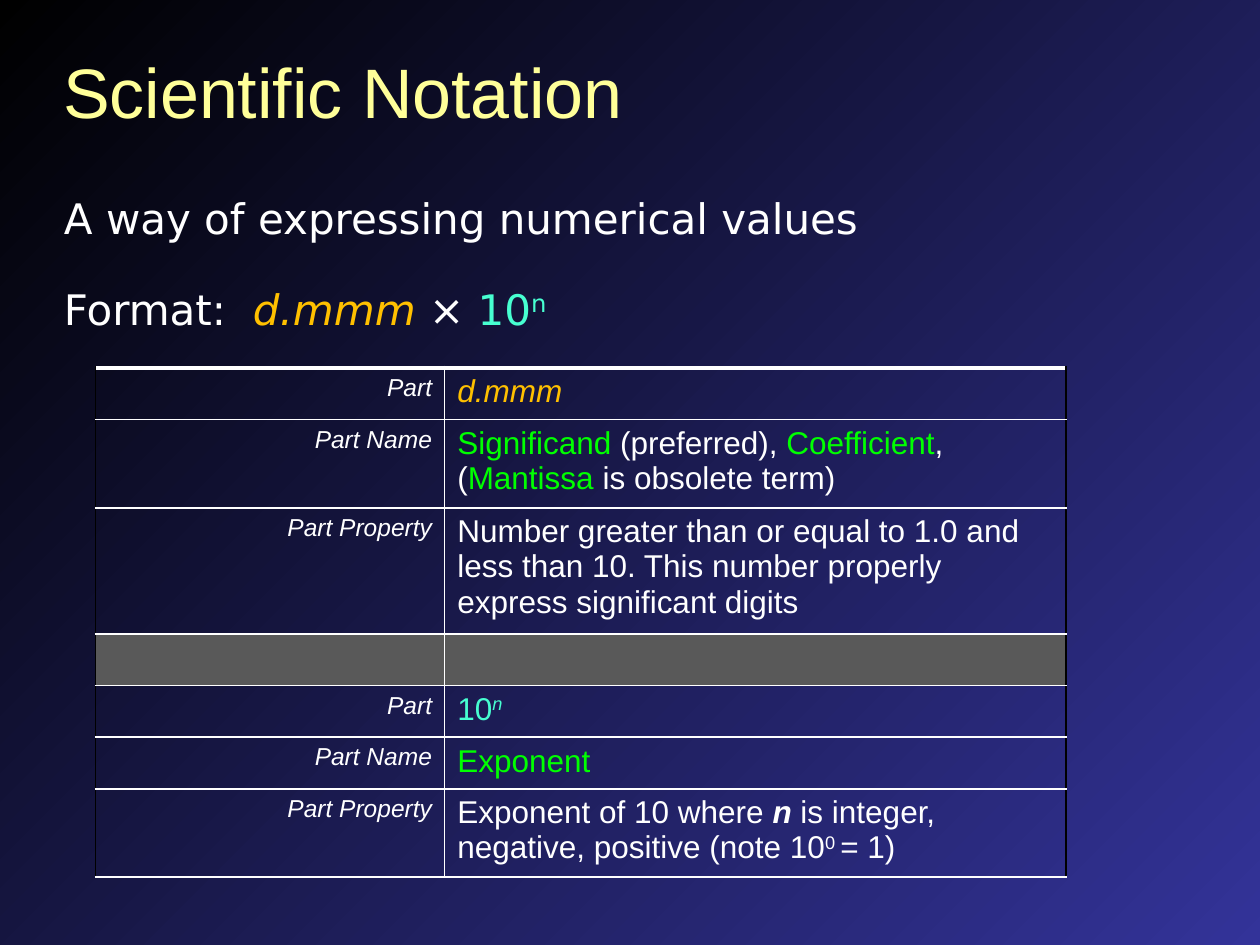
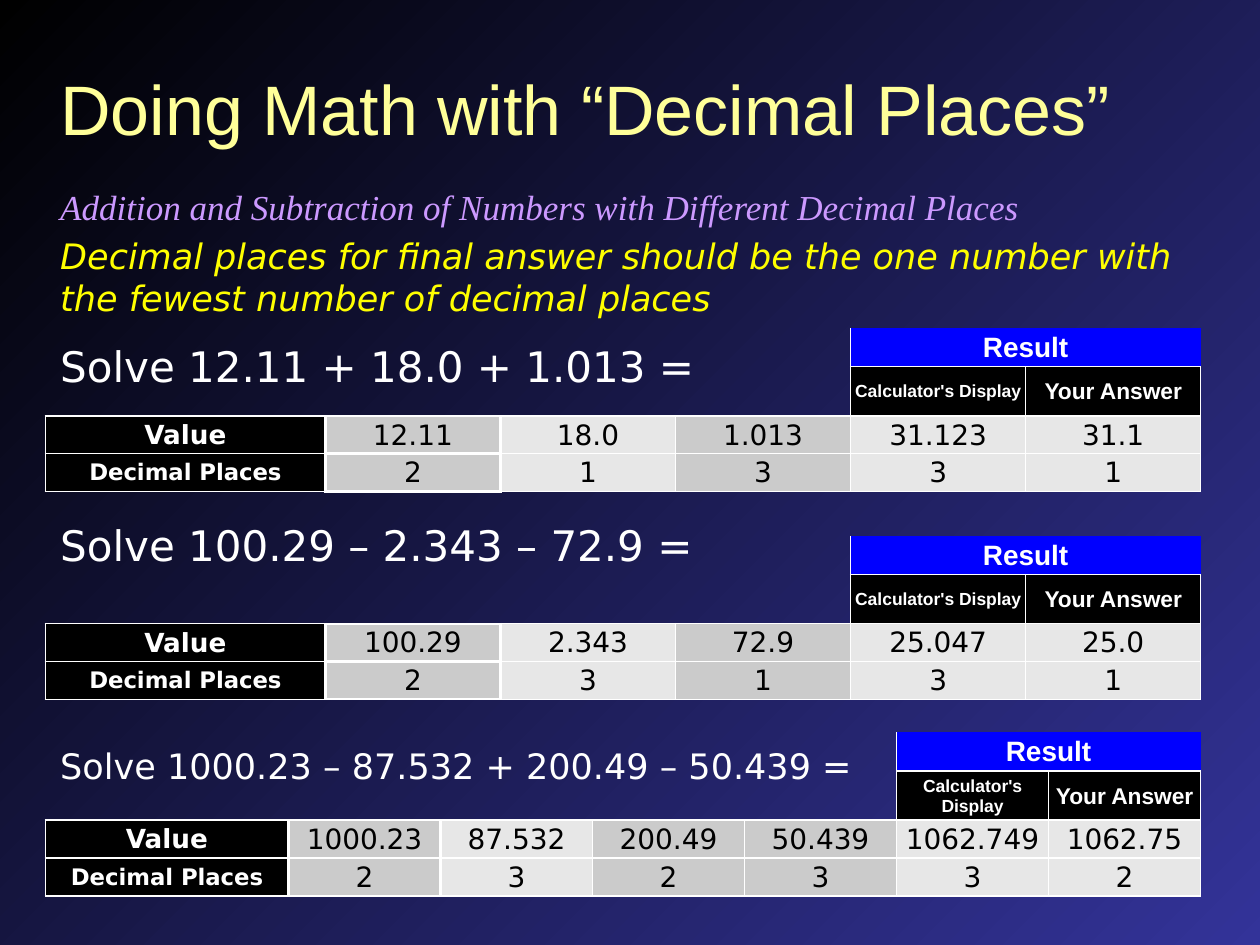
from lxml.etree import SubElement as Sub
from pptx import Presentation
from pptx.dml.color import RGBColor
from pptx.enum.text import MSO_ANCHOR as Anchor, MSO_AUTO_SIZE as AutoSize, PP_ALIGN as Align
from pptx.oxml.ns import qn
from pptx.util import Inches, Pt

WHITE, BLACK, GREY = "FFFFFF", "000000", "595959"
NAVY, BLUE, TITLE = "333399", "0000FF", "FFFF99"
ORANGE, AQUA, GREEN = "FFC000", "47FFD1", "00FF00"
LILAC, YELLOW = "CC99FF", "FFFF00"
DARK_CELL, LIGHT_CELL = "CBCBCB", "E7E7E7"
SANS, WIDE, SERIF = "Arial", "DejaVu Sans", "Times New Roman"
NO_GRID = "{2D5ABB26-0587-4C30-8999-92F81FD0307C}"
COLS, ROWS = 100, 75


def u(n):
    return Inches(n / 10)


def area(*cells):
    return [u(n) for n in cells]


def rgb(color):
    return RGBColor.from_string(color)


def add_run(p, text, size=18, font=SANS, color=WHITE, bold=False, italic=False, sup=False):
    if text == "\n":
        p.add_line_break()
        return
    r = p.add_run()
    r.text = text
    f = r.font
    f.size, f.name, f.bold, f.italic = Pt(size), font, bold, italic
    f.color.rgb = rgb(color)
    if sup:
        r._r.get_or_add_rPr().set("baseline", "30000")


def write(p, runs, align=Align.LEFT, before=0, tab=None, **fmt):
    p.alignment = align
    p.space_before = Pt(before)
    if tab:
        tabs = Sub(p._p.get_or_add_pPr(), qn("a:tabLst"))
        Sub(tabs, qn("a:tab"), pos=str(u(tab)), algn="l")
    for part in [runs] if isinstance(runs, str) else runs:
        text, own = (part, {}) if isinstance(part, str) else part
        add_run(p, text, **{**fmt, **own})


def add_titled_slide(prs, title, *place):
    s = prs.slides.add_slide(prs.slide_layouts[5])
    sp = s.shapes.title
    sp.left, sp.top, sp.width, sp.height = area(*place)
    tf = sp.text_frame
    tf.auto_size, tf.vertical_anchor = AutoSize.NONE, Anchor.MIDDLE
    write(tf.paragraphs[0], title, size=40, color=TITLE)
    return s


def add_body(s, place, lines):
    tf = s.shapes.add_textbox(*area(*place)).text_frame
    tf.word_wrap = True
    for i, (runs, fmt) in enumerate(lines):
        p = tf.paragraphs[0] if i == 0 else tf.add_paragraph()
        write(p, runs, **{"font": WIDE, "size": 24, **fmt})


def add_grid(s, left, top, widths, heights):
    place = area(left, top, sum(widths), sum(heights))
    table = s.shapes.add_table(len(heights), len(widths), *place).table
    table.first_row = table.horz_banding = False
    table._tbl.tblPr.find(qn("a:tableStyleId")).text = NO_GRID
    for col, w in zip(table.columns, widths):
        col.width = u(w)
    for row, h in zip(table.rows, heights):
        row.height = u(h)
    return table


def set_borders(cell, **sides):
    for side in "LRTB":
        if side in sides:
            color, width = sides[side]
            ln = Sub(cell._tc.get_or_add_tcPr(), qn(f"a:ln{side}"), w=str(Pt(width)))
            Sub(Sub(ln, qn("a:solidFill")), qn("a:srgbClr"), val=color)


def set_fill(cell, color):
    cell.fill.solid()
    cell.fill.fore_color.rgb = rgb(color)


def add_parts_table(s, rows):
    heights = [h for h, _, _ in rows]
    table = add_grid(s, 7.6, 29.2, [27.7, 49.3], heights)
    line, edge = (WHITE, 1), (BLACK, 1)
    for i, (_, label, runs) in enumerate(rows):
        name, detail = table.cell(i, 0), table.cell(i, 1)
        top = (WHITE, 3) if i == 0 else line
        set_borders(name, L=edge, R=line, T=top, B=line)
        set_borders(detail, L=line, R=edge, T=top, B=line)
        if label:
            write(name.text_frame.paragraphs[0], label, Align.RIGHT, size=14, italic=True)
            write(detail.text_frame.paragraphs[0], runs)
        else:
            set_fill(name, GREY)
            set_fill(detail, GREY)


def fill_cell(cell, text, fill, line=1, sides="LRTB", **fmt):
    set_borders(cell, **{side: (WHITE, line) for side in sides})
    set_fill(cell, fill)
    cell.vertical_anchor = Anchor.MIDDLE
    write(cell.text_frame.paragraphs[0], text, Align.CENTER, **fmt)


def add_result_table(s, top, values, places):
    n = len(values)
    unit = 91.7 / (n + 1.6)
    table = add_grid(s, 3.6, top, [1.6 * unit] + [unit] * n, [3, 3.9, 3, 3])
    for cell in table.iter_cells():
        cell.margin_left = cell.margin_right = cell.margin_top = u(0.1)
        cell.margin_bottom = 0
    table.cell(0, n - 1).merge(table.cell(0, n))
    fill_cell(table.cell(0, n - 1), "Result", BLUE, sides="LB", size=16, bold=True)
    fill_cell(table.cell(1, n - 1), "Calculator's Display", BLACK, size=10, bold=True)
    fill_cell(table.cell(1, n), "Your Answer", BLACK, size=13, bold=True)
    for row, label, size, numbers in ((2, "Value", 15, values), (3, "Decimal Places", 13, places)):
        fill_cell(table.cell(row, 0), label, BLACK, size=size, font=WIDE, bold=True)
        for col, number in enumerate(numbers, 1):
            light = col == 2 or col >= n - 1
            fill_cell(table.cell(row, col), number, LIGHT_CELL if light else DARK_CELL,
                      line=1.5 if col == 1 else 1, size=16, font=WIDE, color=BLACK)


def set_background(prs):
    fill = prs.slide_master.background.fill
    fill.gradient()
    fill.gradient_angle = 315
    for stop, color in zip(fill.gradient_stops, (BLACK, NAVY)):
        stop.color.rgb = rgb(color)


def build_notation(prs):
    s = add_titled_slide(prs, "Scientific Notation", 4, 3.3, 92.1, 7.7)
    orange, aqua, green = {"color": ORANGE}, {"color": AQUA}, {"color": GREEN}
    slanted, raised = {"italic": True}, {"sup": True}
    add_body(s, (4.1, 14.8, 91.7, 13), [
        ("A way of expressing numerical values", {}),
        (["Format:\t", ("d.mmm ", orange | slanted), "× ", ("10", aqua), ("n", aqua | raised)],
         {"before": 23, "tab": 15}),
    ])
    add_parts_table(s, [
        (4.1, "Part", [("d.mmm", orange | slanted)]),
        (6.6, "Part Name", [("Significand", green), " (preferred), ", ("Coefficient", green), ",",
                            "\n", "(", ("Mantissa", green), " is obsolete term)"]),
        (9.3, "Part Property", "Number greater than or equal to 1.0 and less than 10. "
                               "This number properly express significant digits"),
        (4.1, "", ""),
        (4.1, "Part", [("10", aqua), ("n", aqua | slanted | raised)]),
        (4.1, "Part Name", [("Exponent", green)]),
        (6.6, "Part Property", ["Exponent of 10 where ", ("n", {"bold": True} | slanted),
                                " is integer, negative, positive (note 10", ("0 ", raised), "= 1)"]),
    ])


def build_decimal_places(prs):
    s = add_titled_slide(prs, "Doing Math with “Decimal Places”", 3.8, 4.7, 92.1, 7.7)
    add_body(s, (3.8, 14.2, 91.7, 57), [
        ("Addition and Subtraction of Numbers with Different Decimal Places",
         {"size": 20, "font": SERIF, "color": LILAC, "italic": True}),
        ("Decimal places for final answer should be the one number with "
         "the fewest number of decimal places",
         {"size": 20, "color": YELLOW, "italic": True, "before": 4}),
        ("Solve 12.11 + 18.0 + 1.013 =", {"before": 13}),
        ("Solve 100.29 – 2.343 – 72.9 =", {"before": 73}),
        ("Solve 1000.23 – 87.532 + 200.49 – 50.439 =", {"size": 20, "before": 100}),
    ])
    for top, values, places in (
        (26, "12.11 18.0 1.013 31.123 31.1", "21331"),
        (42.5, "100.29 2.343 72.9 25.047 25.0", "23131"),
        (58.1, "1000.23 87.532 200.49 50.439 1062.749 1062.75", "232332"),
    ):
        add_result_table(s, top, values.split(), places)


def main():
    prs = Presentation()
    prs.slide_width, prs.slide_height = u(COLS), u(ROWS)
    set_background(prs)
    build_notation(prs)
    build_decimal_places(prs)
    prs.save("out.pptx")


if __name__ == "__main__":
    main()
